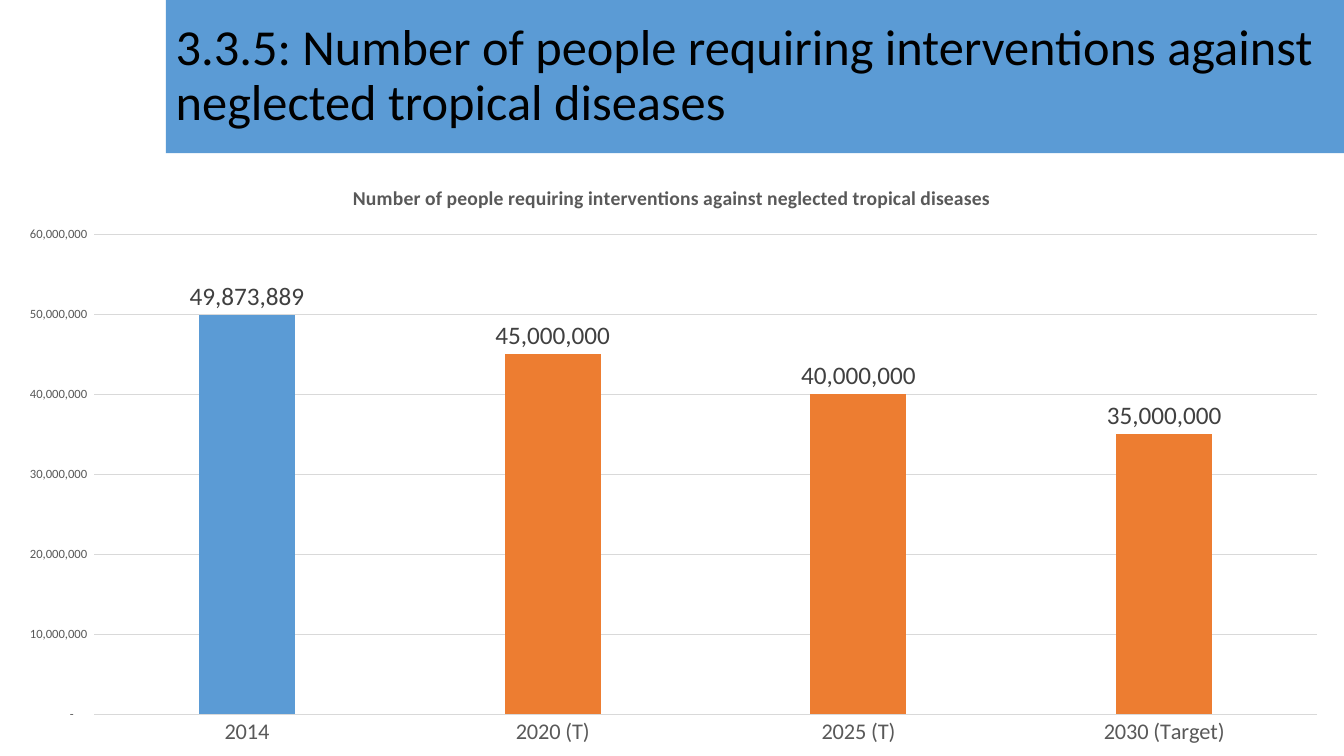
from dataclasses import dataclass

from lxml import etree
from pptx import Presentation
from pptx.chart import data as chart_data
from pptx.dml import color
from pptx.enum import chart as chart_enum, shapes, text
from pptx.oxml import ns
from pptx.util import Cm, Pt


@dataclass(frozen=True)
class Theme:
    font: str = "Calibri"
    blue: str = "5B9BD5"
    orange: str = "ED7D31"
    black: str = "000000"
    grey: str = "595959"
    dark_grey: str = "404040"
    grid: str = "D9D9D9"
    heading_size: int = 36
    label_size: int = 18
    category_size: int = 16
    chart_title_size: int = 14
    base_size: int = 10
    value_size: int = 9


THEME = Theme()
INDICATOR = "Number of people requiring interventions against neglected tropical diseases"
PEOPLE = {"2014": 49873889, "2020 (T)": 45000000, "2025 (T)": 40000000, "2030 (Target)": 35000000}
NUMBER_FORMAT = '_(* #,##0_);_(* \\(#,##0\\);_(* "-"??_);_('


def rgb(value):
    return color.RGBColor.from_string(value)


def set_attributes(target, values):
    for name, value in values.items():
        setattr(target, name, value)


def style_font(font, size, font_color, bold=False):
    set_attributes(font, {"name": THEME.font, "size": Pt(size), "bold": bold})
    font.color.rgb = rgb(font_color)


def style_line(line):
    line.color.rgb = rgb(THEME.grid)
    line.width = Pt(0.75)


def fill_solid(target, fill_color):
    target.fill.solid()
    target.fill.fore_color.rgb = rgb(fill_color)


def add_heading(slide, words):
    shape = slide.shapes.add_shape(
        shapes.MSO_SHAPE.RECTANGLE, Cm(4.18), Cm(0), Cm(29.69), Cm(3.86))
    shape.shadow.inherit = False
    fill_solid(shape, THEME.blue)
    shape.line.fill.background()
    set_attributes(shape.text_frame, {
        "word_wrap": True, "vertical_anchor": text.MSO_ANCHOR.MIDDLE})
    paragraph = shape.text_frame.paragraphs[0]
    set_attributes(paragraph, {
        "text": words, "alignment": text.PP_ALIGN.LEFT, "line_spacing": 0.9})
    style_font(paragraph.runs[0].font, THEME.heading_size, THEME.black)


def place_plot(chart, **fractions):
    """Fix the inner plot area as fractions of the chart frame."""
    plot_area = chart._chartSpace.chart.plotArea
    for old_layout in plot_area.findall(ns.qn("c:layout")):
        plot_area.remove(old_layout)
    layout = etree.Element(ns.qn("c:layout"))
    plot_area.insert(0, layout)
    manual = etree.SubElement(layout, ns.qn("c:manualLayout"))
    settings = {"layoutTarget": "inner", "xMode": "edge", "yMode": "edge", **fractions}
    for name, value in settings.items():
        etree.SubElement(manual, ns.qn(f"c:{name}")).set("val", str(value))


def style_axes(chart):
    no_tick = chart_enum.XL_TICK_MARK.NONE
    for axis, size in ((chart.category_axis, THEME.category_size),
                       (chart.value_axis, THEME.value_size)):
        set_attributes(axis, {"major_tick_mark": no_tick, "minor_tick_mark": no_tick})
        style_font(axis.tick_labels.font, size, THEME.grey)
    chart.category_axis.has_major_gridlines = False
    style_line(chart.category_axis.format.line)
    value_axis = chart.value_axis
    set_attributes(value_axis, {
        "minimum_scale": 0, "maximum_scale": 60000000, "major_unit": 10000000,
        "has_major_gridlines": True})
    style_line(value_axis.major_gridlines.format.line)
    value_axis.format.line.fill.background()
    set_attributes(value_axis.tick_labels, {
        "number_format": NUMBER_FORMAT, "number_format_is_linked": False})


def style_columns(plot):
    set_attributes(plot, {"gap_width": 219, "overlap": -27, "vary_by_categories": False})
    series = plot.series[0]
    fill_solid(series.format, THEME.blue)
    for target_index in range(1, len(PEOPLE)):
        fill_solid(series.points[target_index].format, THEME.orange)
    labels = series.data_labels
    set_attributes(labels, {
        "show_value": True, "number_format": NUMBER_FORMAT,
        "number_format_is_linked": False,
        "position": chart_enum.XL_LABEL_POSITION.OUTSIDE_END})
    style_font(labels.font, THEME.label_size, THEME.dark_grey)


def add_column_chart(slide):
    people_data = chart_data.CategoryChartData(number_format=NUMBER_FORMAT)
    people_data.categories = list(PEOPLE)
    people_data.add_series("Series 1", list(PEOPLE.values()))
    chart = slide.shapes.add_chart(
        chart_enum.XL_CHART_TYPE.COLUMN_CLUSTERED,
        Cm(0), Cm(4.11), Cm(33.87), Cm(14.94), people_data).chart
    style_font(chart.font, THEME.base_size, THEME.black)
    set_attributes(chart, {"has_legend": False, "has_title": True})
    title_frame = chart.chart_title.text_frame
    title_frame.text = INDICATOR
    style_font(title_frame.paragraphs[0].runs[0].font,
               THEME.chart_title_size, THEME.grey, bold=True)
    chart.chart_title.include_in_layout = False
    place_plot(chart, x=0.07, y=0.12, w=0.91, h=0.81)
    style_axes(chart)
    style_columns(chart.plots[0])


def main():
    presentation = Presentation()
    set_attributes(presentation, {"slide_width": Cm(33.87), "slide_height": Cm(19.05)})
    slide = presentation.slides.add_slide(presentation.slide_layouts[6])
    add_heading(slide, f"3.3.5: {INDICATOR}")
    add_column_chart(slide)
    presentation.save("out.pptx")


if __name__ == "__main__":
    main()
